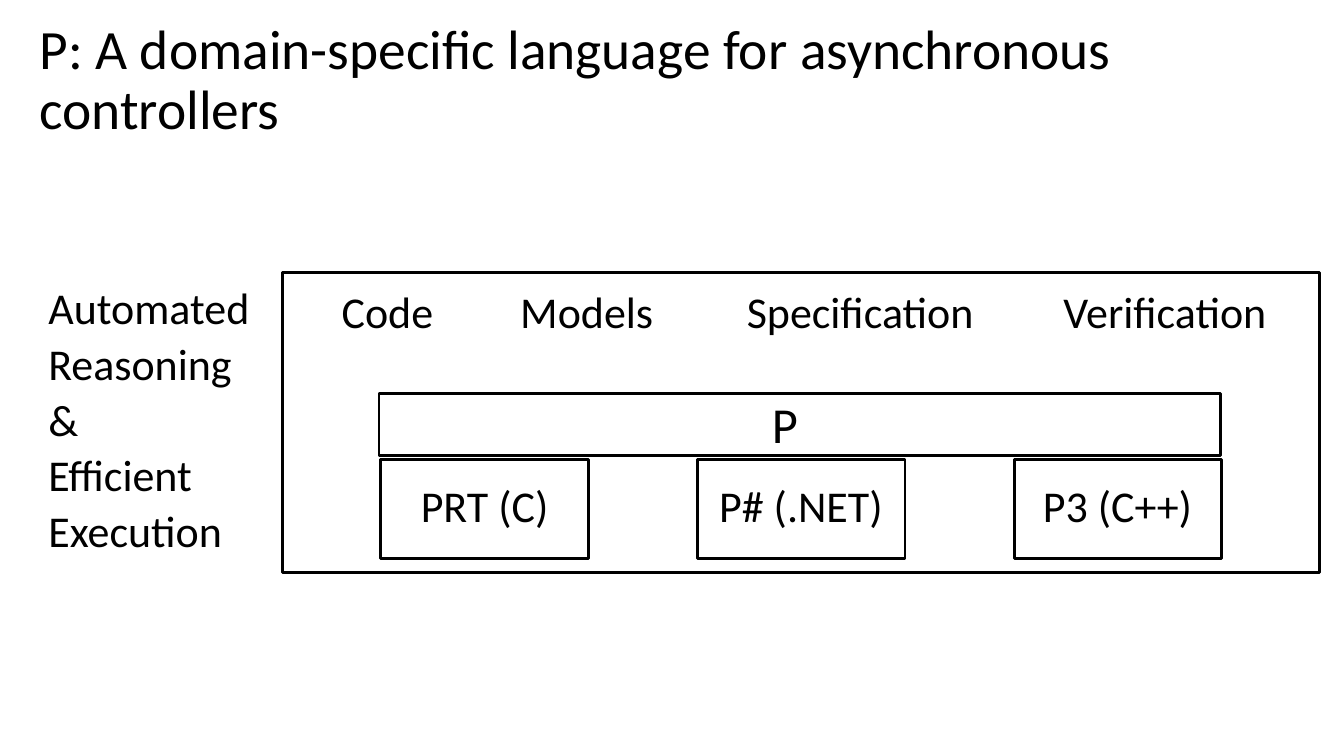
from pptx import Presentation
from pptx.dml.color import RGBColor
from pptx.enum import shapes, text
from pptx.util import Cm, Pt

BLACK = "000000"
FONT = "Calibri"
LABEL_HEIGHT = 2.01
TOPICS = [("Code", 8.1, 3.33), ("Models", 12.6, 4.39),
          ("Specification", 18.31, 6.78), ("Verification", 26.29, 6.17)]
RUNTIMES = [("PRT (C)", 4.24), ("P# (.NET)", 5.16), ("P3 (C++)", 4.8)]
GOALS = ["Automated", "Reasoning", "&", "Efficient", "Execution"]


def color(value):
    """Return the colour for a hex string."""
    return RGBColor.from_string(value)


def write(frame, lines, size=31.4, line_spacing=0.9, space_after=5.9):
    """Write one left-aligned paragraph per line into a text frame."""
    for index, line in enumerate(lines):
        paragraph = frame.add_paragraph() if index else frame.paragraphs[0]
        paragraph.alignment = text.PP_ALIGN.LEFT
        paragraph.line_spacing = line_spacing
        paragraph.space_before = Pt(0)
        paragraph.space_after = Pt(space_after)
        run = paragraph.add_run()
        run.text = line
        run.font.name = FONT
        run.font.size = Pt(size)
        run.font.color.rgb = color(BLACK)


def add_title(slide, title):
    """Place and fill the title placeholder."""
    shape = slide.shapes.title
    shape.left, shape.top = Cm(0.74), Cm(0.81)
    shape.width, shape.height = Cm(32.39), Cm(2.49)
    shape.text_frame.vertical_anchor = text.MSO_ANCHOR.MIDDLE
    shape.text_frame.auto_size = text.MSO_AUTO_SIZE.NONE
    write(shape.text_frame, [title], size=39.6, space_after=0)


def add_box(slide, left, top, width, height):
    """Add an unfilled rectangle with a black outline."""
    shape = slide.shapes.add_shape(
        shapes.MSO_SHAPE.RECTANGLE, Cm(left), Cm(top), Cm(width), Cm(height))
    shape.shadow.inherit = False
    shape.fill.background()
    shape.line.color.rgb = color(BLACK)
    shape.line.width = Pt(2)


def add_label(slide, lines, left, top, width, height=LABEL_HEIGHT,
              inset=(0.51, 0.41), **style):
    """Add an unwrapped text box that fits its text."""
    shape = slide.shapes.add_textbox(Cm(left), Cm(top), Cm(width), Cm(height))
    frame = shape.text_frame
    frame.word_wrap = False
    frame.auto_size = text.MSO_AUTO_SIZE.SHAPE_TO_FIT_TEXT
    frame.margin_left = frame.margin_right = Cm(inset[0])
    frame.margin_top = frame.margin_bottom = Cm(inset[1])
    write(frame, lines, **style)


def add_runtimes(slide, left=9.6, top=11.58, width=5.23, height=2.49, pitch=7.98):
    """Add the evenly spaced runtime boxes with centred labels."""
    for index, (name, label_width) in enumerate(RUNTIMES):
        box_left = left + index * pitch
        add_box(slide, box_left, top, width, height)
        label_left = box_left + (width - label_width) / 2
        add_label(slide, [name], label_left, 11.81, label_width)


def main():
    """Build and save the slide."""
    presentation = Presentation()
    presentation.slide_width, presentation.slide_height = Cm(33.87), Cm(19.05)
    slide = presentation.slides.add_slide(presentation.slide_layouts[5])
    add_title(slide, "P: A domain-specific language for asynchronous controllers")
    add_runtimes(slide)
    add_box(slide, 7.11, 6.86, 26.14, 7.57)
    for topic, left, width in TOPICS:
        add_label(slide, [topic], left, 6.91, width)
    add_label(slide, GOALS, 0.71, 6.81, 6.38, 7.7)
    add_box(slide, 9.55, 9.91, 21.21, 1.57)
    add_label(slide, ["P"], 19.2, 9.78, 1.17, 1.8, inset=(0.25, 0.13),
              size=36, line_spacing=1.0, space_after=0)
    presentation.save("out.pptx")


main()
